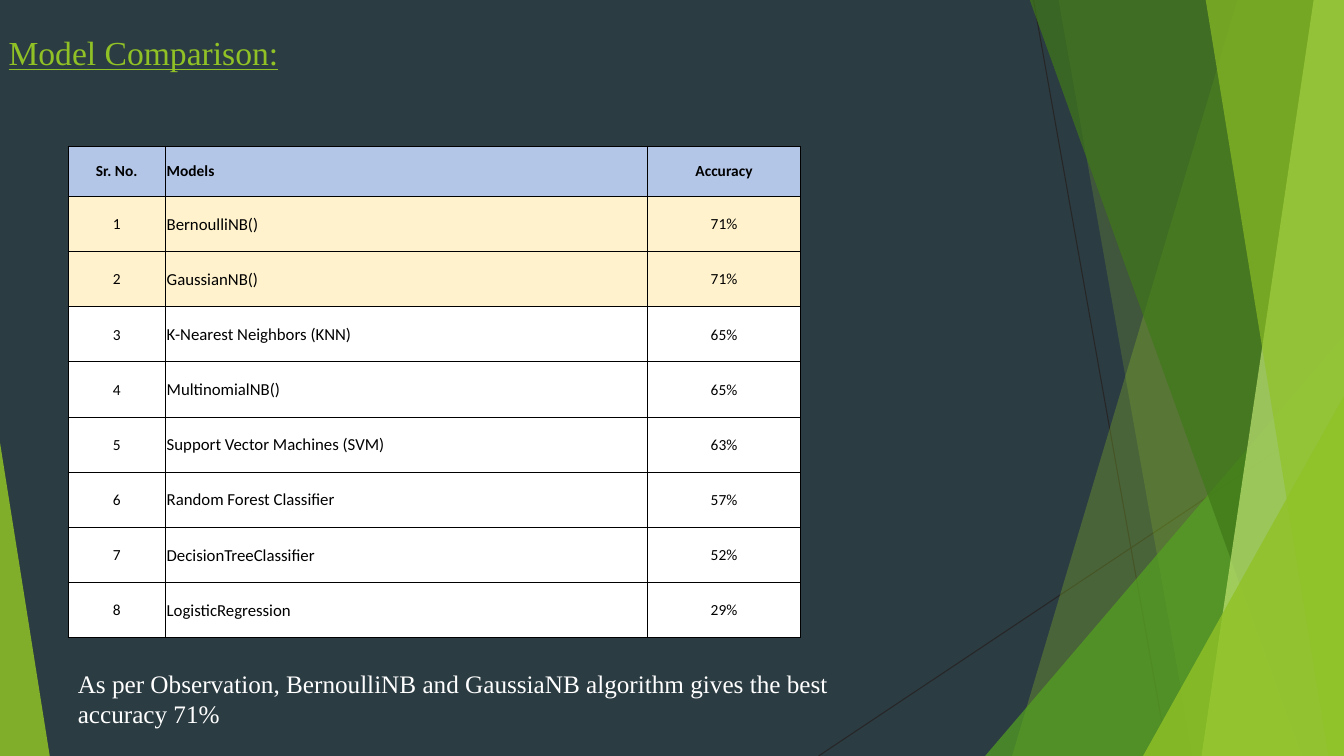
from lxml.etree import SubElement as Sub
from pptx import Presentation
from pptx.dml.color import RGBColor as Rgb
from pptx.enum.shapes import MSO_CONNECTOR as Conn, MSO_SHAPE as Geom
from pptx.enum.text import MSO_ANCHOR as Anchor, PP_ALIGN as Align
from pptx.oxml.ns import qn
from pptx.util import Inches, Pt

WIDE, HIGH = Inches(13.33), Inches(7.5)
HUES = {
    "back": "2C3C43", "wire": "262626", "lime": "90C226", "leaf": "54A021",
    "moss": "3F7819", "pale": "C0E474", "head": "B4C6E7", "best": "FFF2CC",
    "white": "FFFFFF", "black": "000000",
}
HEADS = ("Sr. No.", "Models", "Accuracy")
MODELS = (
    ("BernoulliNB()", "71%"), ("GaussianNB()", "71%"),
    ("K-Nearest Neighbors (KNN)", "65%"), ("MultinomialNB()", "65%"),
    ("Support Vector Machines (SVM)", "63%"),
    ("Random Forest Classifier", "57%"),
    ("DecisionTreeClassifier", "52%"), ("LogisticRegression", "29%"),
)
COLS = (7.28, 35.85, 11.4)
HEAD_ROW, ROW = 6.67, 7.3


def px(share):
    """Percent of the slide's width."""
    return round(WIDE * share / 100)


def py(share):
    """Percent of the slide's height."""
    return round(HIGH * share / 100)


def hue(name):
    return Rgb.from_string(HUES[name])


def paint(shape, name, alpha):
    """Flat fill with an opacity in percent, no line, no shadow."""
    shape.shadow.inherit = False
    shape.line.fill.background()
    shape.fill.solid()
    shape.fill.fore_color.rgb = hue(name)
    tint = shape.fill._xPr.find(qn("a:solidFill"))[0]
    Sub(tint, qn("a:alpha"), val=str(alpha * 1000))


def add_wire(slide, x1, y1, x2, y2):
    wire = slide.shapes.add_connector(
        Conn.STRAIGHT, px(x1), py(y1), px(x2), py(y2))
    wire.line.color.rgb = hue("wire")
    wire.line.width = Pt(0.75)
    Sub(wire._element.spPr, qn("a:effectLst"))


def add_blade(slide, top, foot, name, alpha):
    """Full-height band from a slanted left edge to the slide's right edge."""
    pen = slide.shapes.build_freeform(px(top), py(-0.1))
    pen.add_line_segments(
        [(px(x), py(y)) for x, y in ((100, -0.1), (100, 100), (foot, 100))])
    paint(pen.convert_to_shape(), name, alpha)


def add_peak(slide, left, top, width, tip, name, alpha):
    """Triangle on the bottom edge; tip is 0 for left, 1 for right."""
    peak = slide.shapes.add_shape(
        Geom.ISOSCELES_TRIANGLE, px(left), py(top), px(width), py(100 - top))
    peak.adjustments[0] = tip
    paint(peak, name, alpha)


def add_run(para, text, font, size, name, bold=False, under=False):
    run = para.add_run()
    run.text = text
    run.font.name, run.font.size = font, Pt(size)
    run.font.bold, run.font.underline = bold, under
    run.font.color.rgb = hue(name)


def add_text(slide, left, top, width, height, text, size, name, under=False):
    box = slide.shapes.add_textbox(px(left), py(top), px(width), py(height))
    box.text_frame.word_wrap = True
    add_run(box.text_frame.paragraphs[0], text, "Times New Roman", size, name,
            under=under)


def add_edges(cell):
    props = cell._tc.get_or_add_tcPr()
    for side in ("lnL", "lnR", "lnT", "lnB"):
        edge = Sub(props, qn("a:" + side), w=str(Pt(0.5)))
        fill = Sub(edge, qn("a:solidFill"))
        Sub(fill, qn("a:srgbClr"), val=HUES["black"])


def fill_cell(cell, text, back, size, bold, align):
    cell.margin_left = cell.margin_right = cell.margin_top = Inches(0.01)
    cell.margin_bottom = 0
    cell.vertical_anchor = Anchor.MIDDLE
    add_edges(cell)
    cell.fill.solid()
    cell.fill.fore_color.rgb = hue(back)
    para = cell.text_frame.paragraphs[0]
    para.alignment = align
    add_run(para, text, "Calibri", size, "black", bold)


def add_scores(slide, left, top):
    rows = [HEADS] + [(str(n), *model) for n, model in enumerate(MODELS, 1)]
    peak = max(int(score.rstrip("%")) for _, score in MODELS)
    table = slide.shapes.add_table(
        len(rows), len(COLS), px(left), py(top), px(sum(COLS)),
        py(HEAD_ROW + ROW * len(MODELS))).table
    for col, share in zip(table.columns, COLS):
        col.width = px(share)
    for r, row in enumerate(rows):
        head = r == 0
        table.rows[r].height = py(HEAD_ROW if head else ROW)
        best = row[2] == f"{peak}%"
        back = "head" if head else "best" if best else "white"
        for c, text in enumerate(row):
            size = 12 if c == 1 and not head else 11
            align = Align.LEFT if c == 1 else Align.CENTER
            fill_cell(table.cell(r, c), text, back, size, head, align)


def add_decor(slide):
    add_wire(slide, 76.9, 0, 86.9, 100)
    add_wire(slide, 100, 53.7, 60.9, 100)
    add_blade(slide, 92.1, 75.3, "lime", 30)
    add_blade(slide, 78.75, 88.75, "lime", 20)
    add_peak(slide, 73.3, 44.4, 26.7, 1, "leaf", 72)
    add_blade(slide, 76.6, 96.85, "moss", 70)
    add_blade(slide, 97.75, 89.4, "pale", 70)
    add_blade(slide, 89.7, 98.85, "lime", 65)
    add_peak(slide, 85.05, 52.4, 14.95, 1, "lime", 80)
    add_peak(slide, 0, 58.55, 3.7, 0, "lime", 85)


def main():
    deck = Presentation()
    deck.slide_width, deck.slide_height = WIDE, HIGH
    slide = deck.slides.add_slide(deck.slide_layouts[6])
    slide.background.fill.solid()
    slide.background.fill.fore_color.rgb = hue("back")
    add_decor(slide)
    add_scores(slide, 5.05, 19.3)
    add_text(slide, -0.1, 3.6, 57.4, 6.7, "Model Comparison:", 24, "lime",
             under=True)
    add_text(slide, 5.05, 87.75, 57.4, 9.5,
             "As per Observation, BernoulliNB and GaussiaNB algorithm gives "
             "the best accuracy 71%", 18, "white")
    deck.save("out.pptx")


if __name__ == "__main__":
    main()
